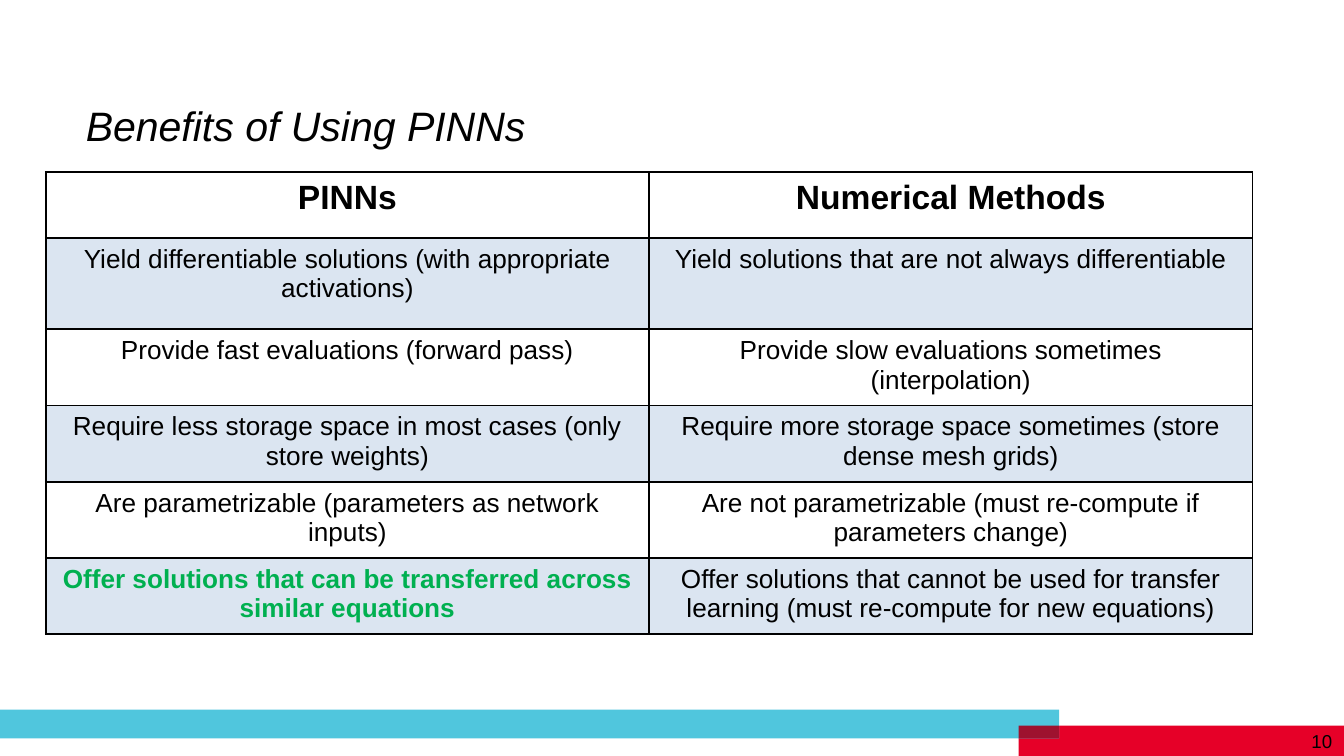
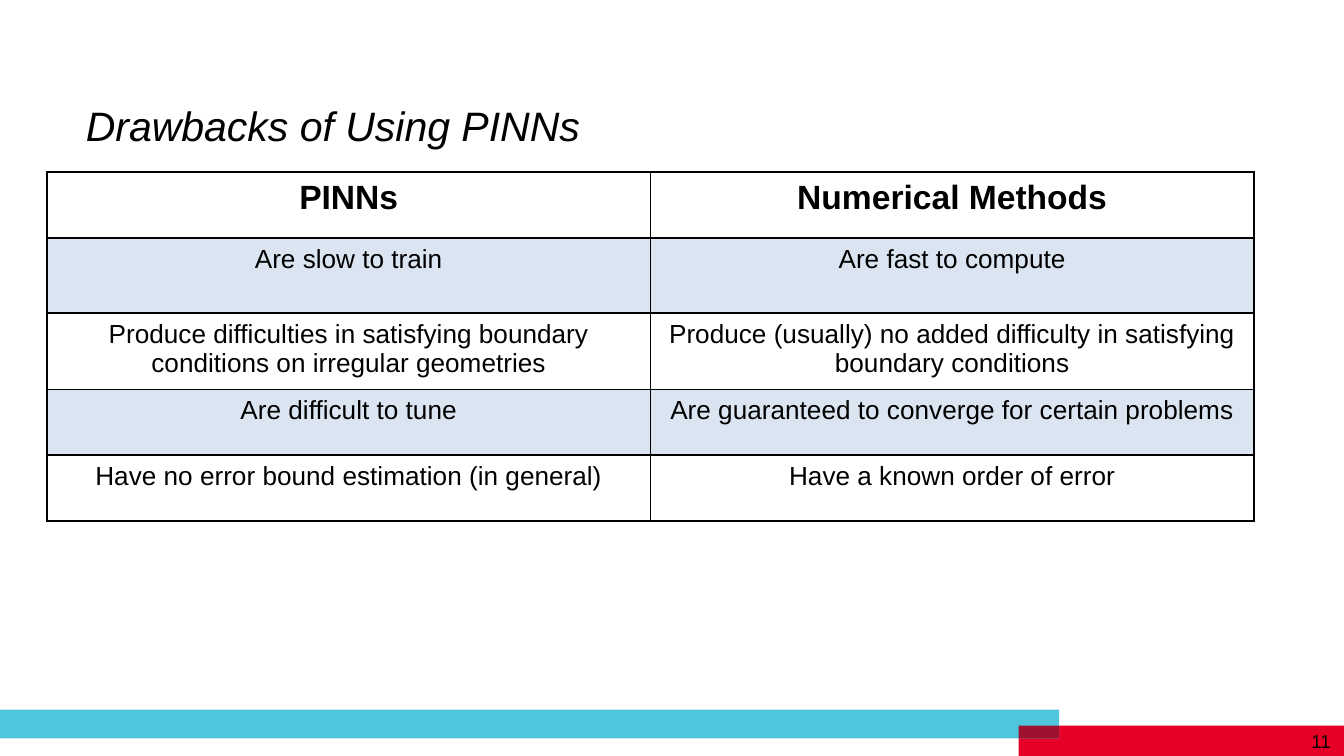
import pptx
import pptx.dml.color
import pptx.enum.shapes
import pptx.enum.text
import pptx.oxml
import pptx.oxml.ns
import pptx.util

Pt = pptx.util.Pt

# Shared look
FONT = "Arial"
BLACK = "000000"
RED = "E60028"
CYAN = "50C6DD"
OVERLAP = "9E122F"
BAND = "4F81BD"
GREEN = "00B050"
BAND_ALPHA = 20
COLUMN_WIDTH = 323.28
ROW_HEIGHT = 35.28
TABLE_TOP = 92.16
HEADER = ("PINNs", "Numerical Methods")

# Content
BENEFITS = [
    ("Yield differentiable solutions (with appropriate activations)",
     "Yield solutions that are not always differentiable"),
    ("Provide fast evaluations (forward pass)",
     "Provide slow evaluations sometimes (interpolation)"),
    ("Require less storage space in most cases (only store weights)",
     "Require more storage space sometimes (store dense mesh grids)"),
    ("Are parametrizable (parameters as network inputs)",
     "Are not parametrizable (must re-compute if parameters change)"),
    ("Offer solutions that can be transferred across similar equations",
     "Offer solutions that cannot be used for transfer learning "
     "(must re-compute for new equations)"),
]
DRAWBACKS = [
    ("Are slow to train", "Are fast to compute"),
    ("Produce difficulties in satisfying boundary conditions on irregular geometries",
     "Produce (usually) no added difficulty in satisfying boundary conditions"),
    ("Are difficult to tune", "Are guaranteed to converge for certain problems"),
    ("Have no error bound estimation (in general)", "Have a known order of error"),
]


def color(value):
    return pptx.dml.color.RGBColor.from_string(value)


def style(paragraph, size, hue=BLACK, bold=False, italic=False):
    font = paragraph.font
    font.name, font.size = FONT, Pt(size)
    font.bold, font.italic = bold, italic
    font.color.rgb = color(hue)


def add_bar(page, left, top, width, height, hue):
    bar = page.shapes.add_shape(
        pptx.enum.shapes.MSO_SHAPE.RECTANGLE,
        Pt(left), Pt(top), Pt(width), Pt(height))
    bar.shadow.inherit = False
    bar.fill.solid()
    bar.fill.fore_color.rgb = color(hue)
    bar.line.fill.background()


def add_text(page, text, left, top, width, height, size, italic=False):
    box = page.shapes.add_textbox(Pt(left), Pt(top), Pt(width), Pt(height))
    frame = box.text_frame
    frame.word_wrap = True
    para = frame.paragraphs[0]
    para.text = text
    style(para, size, italic=italic)
    return frame


def add_borders(cell):
    properties = cell._tc.get_or_add_tcPr()
    for index, side in enumerate(("lnL", "lnR", "lnT", "lnB")):
        properties.insert(index, pptx.oxml.parse_xml(
            f'<a:{side} {pptx.oxml.ns.nsdecls("a")} w="{Pt(1)}"><a:solidFill>'
            f'<a:srgbClr val="{BLACK}"/></a:solidFill></a:{side}>'))


def fill_cell(cell, banded):
    if not banded:
        cell.fill.background()
        return
    cell.fill.solid()
    cell.fill.fore_color.rgb = color(BAND)
    tint = cell._tc.tcPr.find(".//" + pptx.oxml.ns.qn("a:srgbClr"))
    tint.append(pptx.oxml.parse_xml(
        f'<a:alpha {pptx.oxml.ns.nsdecls("a")} val="{BAND_ALPHA * 1000}"/>'))


def add_comparison(page, left, rows, first_height, highlight=None):
    """Two-column table; every second row is tinted."""
    rows = [HEADER] + rows
    heights = [ROW_HEIGHT] * len(rows)
    heights[1] = first_height
    table = page.shapes.add_table(
        len(rows), 2, Pt(left), Pt(TABLE_TOP),
        Pt(2 * COLUMN_WIDTH), Pt(sum(heights))).table
    table.first_row = table.horz_banding = False
    for column in table.columns:
        column.width = Pt(COLUMN_WIDTH)
    for r, (texts, height) in enumerate(zip(rows, heights)):
        table.rows[r].height = Pt(height)
        for c, text in enumerate(texts):
            cell = table.cell(r, c)
            fill_cell(cell, r % 2 == 1)
            add_borders(cell)
            para = cell.text_frame.paragraphs[0]
            para.text = text
            para.alignment = pptx.enum.text.PP_ALIGN.CENTER
            marked = (r, c) == highlight
            style(para, 14 if r else 18, GREEN if marked else BLACK,
                  bold=marked or r == 0)


def add_page(deck, title, number):
    page = deck.slides.add_slide(deck.slide_layouts[6])
    # Footer bands
    add_bar(page, 545.76, 388.8, 174.24, 16.2, RED)
    add_bar(page, 0, 380.16, 567.36, 15.5, CYAN)
    add_bar(page, 545.76, 388.8, 21.6, 6.86, OVERLAP)
    # Title and page number
    frame = add_text(page, title, 38.88, 48.24, 572.4, 78.48, 22, italic=True)
    frame.margin_top = Pt(5.6)
    add_text(page, str(number), 695.52, 387.36, 28.8, 19.44, 10)
    return page


def main():
    deck = pptx.Presentation()
    deck.slide_width, deck.slide_height = Pt(720), Pt(405)

    page = add_page(deck, "Benefits of Using PINNs", 10)
    add_comparison(page, 24.48, BENEFITS, 48.96, highlight=(5, 0))

    page = add_page(deck, "Drawbacks of Using PINNs", 11)
    add_comparison(page, 25.2, DRAWBACKS, 40.32)

    deck.save("out.pptx")


if __name__ == "__main__":
    main()
